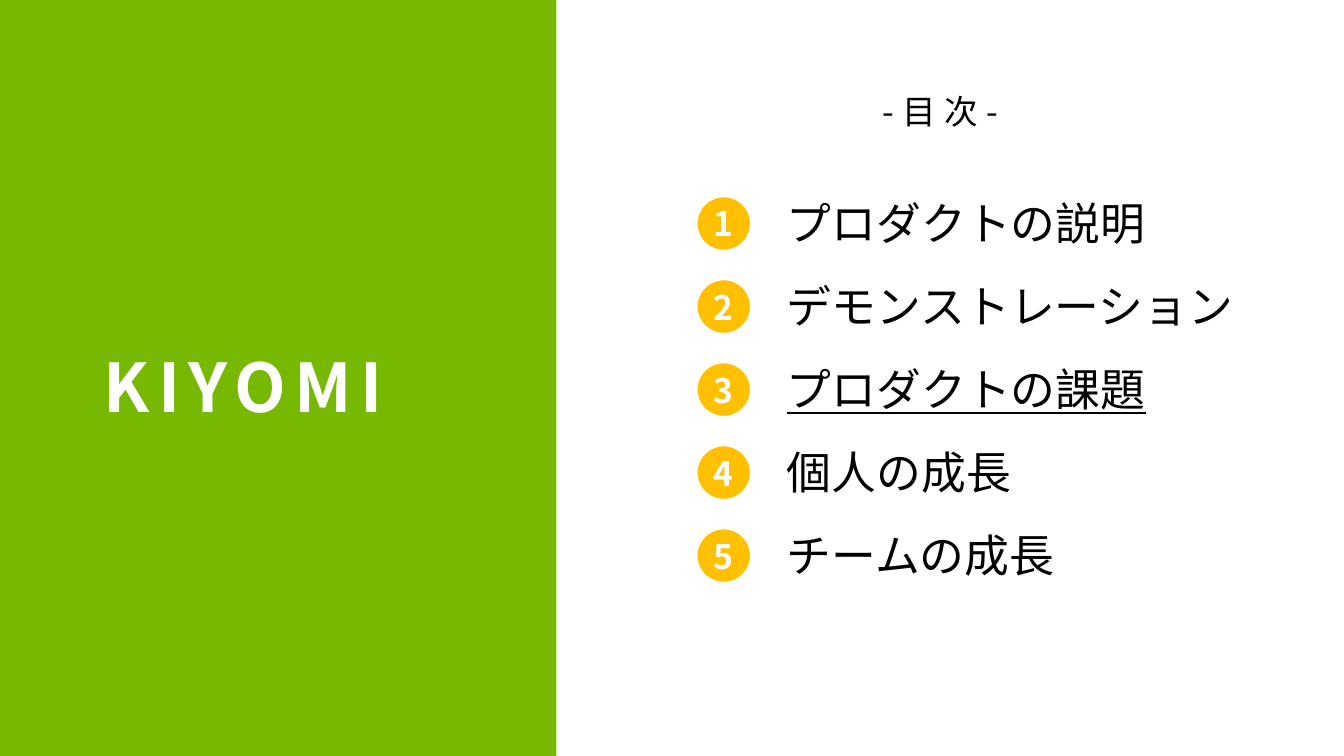
from pptx import Presentation
from pptx.dml.color import RGBColor
from pptx.enum.shapes import MSO_SHAPE
from pptx.enum.text import MSO_ANCHOR, MSO_AUTO_SIZE, PP_ALIGN
from pptx.oxml.ns import qn
from pptx.util import Pt
from lxml.etree import SubElement

GREEN = RGBColor(0x76, 0xB9, 0x00)
AMBER = RGBColor(0xFF, 0xC0, 0x00)
WHITE = RGBColor(0xFF, 0xFF, 0xFF)
BLACK = RGBColor(0, 0, 0)
FONT = "Noto Sans CJK JP"
TOPICS = ["プロダクトの説明", "デモンストレーション", "プロダクトの課題", "個人の成長", "チームの成長"]
CURRENT = "プロダクトの課題"


def add_run(p, text, size, color, bold=False, underline=False, spacing=0):
    """Add one formatted run to a paragraph."""
    r = p.add_run()
    r.text = text
    r.font.size = Pt(size)
    r.font.bold = bold
    r.font.underline = underline
    r.font.color.rgb = color
    r.font.name = FONT
    rPr = r.font._element
    SubElement(rPr, qn("a:ea")).set("typeface", FONT)
    if spacing:
        rPr.set("spc", str(spacing * 100))


def add_text(s, x, y, w, h, text, size, **style):
    """Add a black one-line text box."""
    tf = s.shapes.add_textbox(Pt(x), Pt(y), Pt(w), Pt(h)).text_frame
    tf.word_wrap = True
    tf.auto_size = MSO_AUTO_SIZE.SHAPE_TO_FIT_TEXT
    add_run(tf.paragraphs[0], text, size, BLACK, **style)


def add_panel(s, x, y, w, h):
    """Place the green panel behind the slide title."""
    sp = s.shapes.add_shape(MSO_SHAPE.RECTANGLE, Pt(x), Pt(y), Pt(w), Pt(h))
    sp.shadow.inherit = False
    sp.fill.solid()
    sp.fill.fore_color.rgb = GREEN
    sp.line.fill.background()
    title = s.shapes.title
    title._element.addprevious(sp._element)
    title.left, title.top = Pt(x + 67), Pt(y + 240.5)
    title.width, title.height = Pt(307), Pt(77)
    tf = title.text_frame
    tf.auto_size = MSO_AUTO_SIZE.NONE
    tf.vertical_anchor = MSO_ANCHOR.MIDDLE
    p = tf.paragraphs[0]
    p.alignment = PP_ALIGN.LEFT
    p.line_spacing = 0.9
    add_run(p, "KIYOMI", 48, WHITE, bold=True, spacing=6)


def add_badge(s, x, y, d, number):
    """Add a round badge holding a number."""
    sp = s.shapes.add_shape(MSO_SHAPE.OVAL, Pt(x), Pt(y), Pt(d), Pt(d))
    sp.shadow.inherit = False
    sp.fill.solid()
    sp.fill.fore_color.rgb = AMBER
    sp.line.color.rgb = WHITE
    sp.line.width = Pt(1.5)
    tf = sp.text_frame
    tf.margin_left = tf.margin_right = tf.margin_top = tf.margin_bottom = 0
    tf.word_wrap = False
    tf.vertical_anchor = MSO_ANCHOR.MIDDLE
    p = tf.paragraphs[0]
    p.alignment = PP_ALIGN.CENTER
    add_run(p, str(number), 24, WHITE, bold=True)


def add_agenda(s, x, y, w, h):
    """Add the heading and evenly spaced numbered topics."""
    add_text(s, x + 126, y, 148, 36, "-目次-", 24, spacing=6)
    pitch = (h - 75) / len(TOPICS)
    for i, topic in enumerate(TOPICS):
        top = y + 75 + i * pitch
        add_badge(s, x, top + 4, 39, i + 1)
        add_text(s, x + 57.5, top, w - 57.5, 46, topic, 32, underline=topic == CURRENT)


def main():
    """Build and save the agenda slide."""
    prs = Presentation()
    prs.slide_width, prs.slide_height = Pt(960), Pt(540)
    s = prs.slides.add_slide(prs.slide_layouts[0])
    subtitle = s.placeholders[1]._element
    subtitle.getparent().remove(subtitle)
    add_panel(s, 0, 0, 397.5, 540)
    add_agenda(s, 497.5, 61.2, 453, 371.5)
    prs.save("out.pptx")


if __name__ == "__main__":
    main()
